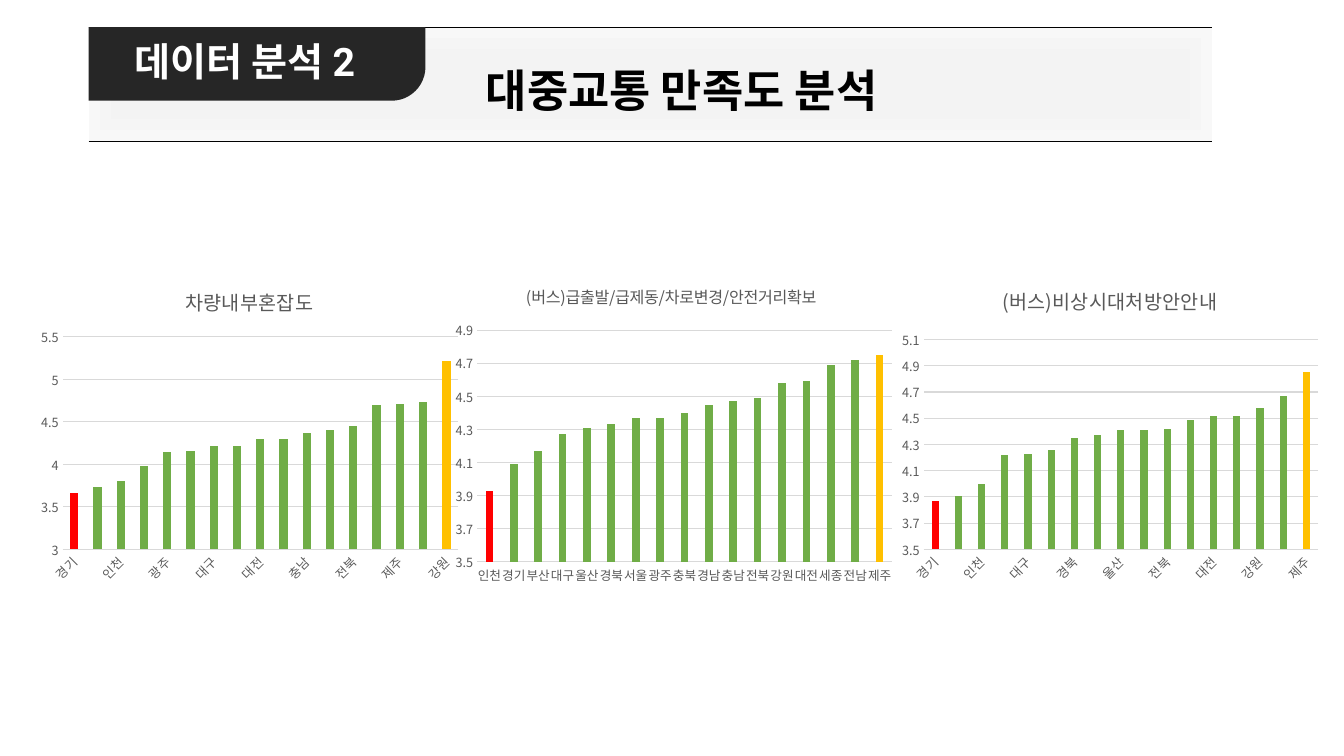
import pptx
import pptx.chart.data
import pptx.dml.color
import pptx.enum.chart
import pptx.enum.shapes
import pptx.enum.text
import pptx.oxml
import pptx.oxml.ns
import pptx.util
from pptx.util import Inches

COLORS = {"black": "000000", "white": "FFFFFF", "tab": "262626", "label": "595959",
          "grid": "D9D9D9", "bar": "70AD47", "lowest": "FF0000", "highest": "FFC000"}
BANNER_STOPS = [(0, "F3F3F3"), (42, "F3F3F3"), (100, "F8F8F8")]
CHART_FONT = "Noto Sans CJK KR"
HEAD_FONT = "Roboto"
AUTO_TURN = -1000  # degrees; the value that leaves label rotation automatic

CHARTS = [
    {"box": (0.32, 2.68, 4.31, 3.15), "plot": (0.07, 0.21, 0.91, 0.67),
     "title": "차량내부혼잡도", "series": "차량내부혼잡도", "size": 14,
     "axis": (3, 5.5, 0.5), "gap": 182, "overlap": 0, "turn": -45,
     "regions": "경기 서울 인천 부산 광주 울산 대구 경북 대전 충북 충남 경남 전북 세종 제주 전남 강원",
     "scores": [3.66, 3.73, 3.81, 3.98, 4.15, 4.16, 4.21, 4.22, 4.3, 4.3, 4.37, 4.4,
                4.45, 4.7, 4.71, 4.73, 5.21]},
    {"box": (4.42, 2.67, 4.47, 3.19), "plot": (0.07, 0.19, 0.92, 0.72),
     "title": "(버스)급출발/급제동/차로변경/안전거리확보", "series": "Series 1", "size": 11.5,
     "axis": (3.5, 4.9, 0.2), "gap": 219, "overlap": -27, "turn": AUTO_TURN,
     "regions": "인천 경기 부산 대구 울산 경북 서울 광주 충북 경남 충남 전북 강원 대전 세종 전남 제주",
     "scores": [3.93, 4.09, 4.17, 4.27, 4.31, 4.33, 4.37, 4.37, 4.4, 4.45, 4.47, 4.49,
                4.58, 4.59, 4.69, 4.72, 4.75]},
    {"box": (8.86, 2.67, 4.3, 3.16), "plot": (0.07, 0.18, 0.91, 0.7),
     "title": "(버스)비상시대처방안안내", "series": "(버스)비상시대처방안안내", "size": 14,
     "axis": (3.5, 5.2, 0.2), "gap": 219, "overlap": -27, "turn": -45,
     "regions": "경기 서울 인천 부산 대구 광주 경북 충남 울산 충북 전북 경남 대전 전남 강원 세종 제주",
     "scores": [3.87, 3.91, 4, 4.22, 4.23, 4.26, 4.35, 4.37, 4.41, 4.41, 4.42, 4.49,
                4.52, 4.52, 4.58, 4.67, 4.85]},
]


def rgb(name):
    return pptx.dml.color.RGBColor.from_string(COLORS[name])


def xml(text):
    """Parse a fragment that uses the a: and c: prefixes."""
    spaces = pptx.oxml.ns.nsdecls("a", "c")
    tag, rest = text.split(">", 1)
    closing = "/" if tag.endswith("/") else ""
    return pptx.oxml.parse_xml(f"{tag.rstrip('/')} {spaces}{closing}>{rest}")


def style_font(font, face, size, color, bold=False):
    font.name = face
    font.size = pptx.util.Pt(size)
    font.bold = bold
    font.color.rgb = rgb(color)


def add_heading(page, box, text, size, color, align):
    frame = page.shapes.add_textbox(*map(Inches, box)).text_frame
    frame.word_wrap = True
    para = frame.paragraphs[0]
    para.alignment = align
    span = para.add_run()
    span.text = text
    style_font(span.font, HEAD_FONT, size, color, True)


def add_banner(page, box):
    """Ruled one-cell table with a soft gradient."""
    graphic = page.shapes.add_table(1, 1, *map(Inches, box))
    table = graphic.table
    table.first_row = table.horz_banding = False
    cell_props = table.cell(0, 0)._tc.get_or_add_tcPr()
    for side in ("lnL", "lnR"):
        cell_props.append(xml(f'<a:{side} w="0"><a:noFill/></a:{side}>'))
    for side in ("lnT", "lnB"):
        cell_props.append(xml(
            f'<a:{side} w="12700"><a:solidFill><a:srgbClr val="{COLORS["black"]}"/>'
            f'</a:solidFill></a:{side}>'))
    stops = "".join(f'<a:gs pos="{place * 1000}"><a:srgbClr val="{color}"/></a:gs>'
                    for place, color in BANNER_STOPS)
    cell_props.append(xml(
        f'<a:gradFill><a:gsLst>{stops}</a:gsLst><a:path path="rect">'
        '<a:fillToRect l="50000" t="50000" r="50000" b="50000"/></a:path></a:gradFill>'))


def add_header(page, box):
    left, top, width, height = box
    add_banner(page, box)
    tab = page.shapes.add_shape(pptx.enum.shapes.MSO_SHAPE.ROUND_1_RECTANGLE,
                                *map(Inches, (left, top, 3.34, 0.73)))
    tab.adjustments[0] = 0.46
    tab._element.spPr.get_or_add_xfrm().set("flipV", "1")
    tab.shadow.inherit = False
    tab.fill.solid()
    tab.fill.fore_color.rgb = rgb("tab")
    tab.line.fill.background()
    align = pptx.enum.text.PP_ALIGN
    add_heading(page, (left + 0.22, top + 0.05, 2.66, 0.57), "데이터 분석 2", 28,
                "white", align.CENTER)
    add_heading(page, (left + 3.84, top + 0.3, 7.09, 0.64), "대중교통 만족도 분석", 32,
                "black", align.LEFT)


def style_axes(chart, info):
    for axis in (chart.category_axis, chart.value_axis):
        axis.major_tick_mark = axis.minor_tick_mark = pptx.enum.chart.XL_TICK_MARK.NONE
        style_font(axis.tick_labels.font, CHART_FONT, 9, "label")
    values = chart.value_axis
    values.minimum_scale, values.maximum_scale, values.major_unit = info["axis"]
    values.tick_labels.number_format = "General"
    values.tick_labels.number_format_is_linked = False
    values.format.line.fill.background()
    regions = chart.category_axis
    for line in (regions.format.line, values.major_gridlines.format.line):
        line.color.rgb = rgb("grid")
        line.width = pptx.util.Pt(0.75)
    body = regions._element.find(
        pptx.oxml.ns.qn("c:txPr") + "/" + pptx.oxml.ns.qn("a:bodyPr"))
    body.set("rot", str(info["turn"] * 60000))
    body.set("vert", "horz")


def place_plot(chart, fractions):
    """Fix the inner plot area as fractions of the chart."""
    modes = "".join(f'<c:{key}Mode val="edge"/>' for key in "xy")
    sizes = "".join(f'<c:{key} val="{part}"/>' for key, part in zip("xywh", fractions))
    area = chart._chartSpace.chart.plotArea
    for old in area.findall(pptx.oxml.ns.qn("c:layout")):
        area.remove(old)
    area.insert(0, xml('<c:layout><c:manualLayout><c:layoutTarget val="inner"/>'
                       f'{modes}{sizes}</c:manualLayout></c:layout>'))


def add_score_chart(page, info):
    data = pptx.chart.data.CategoryChartData()
    data.categories = info["regions"].split()
    data.add_series(info["series"], info["scores"])
    chart = page.shapes.add_chart(pptx.enum.chart.XL_CHART_TYPE.COLUMN_CLUSTERED,
                                  *map(Inches, info["box"]), data).chart
    chart.has_legend = False
    style_font(chart.font, CHART_FONT, 10, "black")
    chart.has_title = True
    chart.chart_title.include_in_layout = False
    span = chart.chart_title.text_frame.paragraphs[0].add_run()
    span.text = info["title"]
    style_font(span.font, CHART_FONT, info["size"], "label")
    style_axes(chart, info)
    place_plot(chart, info["plot"])

    plot = chart.plots[0]
    plot.vary_by_categories = False
    plot.gap_width = info["gap"]
    plot.overlap = info["overlap"]
    series = plot.series[0]
    last = len(info["scores"]) - 1
    for target, color in ((series, "bar"), (series.points[0], "lowest"),
                          (series.points[last], "highest")):
        target.format.fill.solid()
        target.format.fill.fore_color.rgb = rgb(color)


def main():
    deck = pptx.Presentation()
    deck.slide_width = Inches(13.33)
    deck.slide_height = Inches(7.5)
    page = deck.slides.add_slide(deck.slide_layouts[6])
    for info in CHARTS:
        add_score_chart(page, info)
    add_header(page, (0.88, 0.27, 11.14, 1.13))
    deck.save("out.pptx")


if __name__ == "__main__":
    main()
